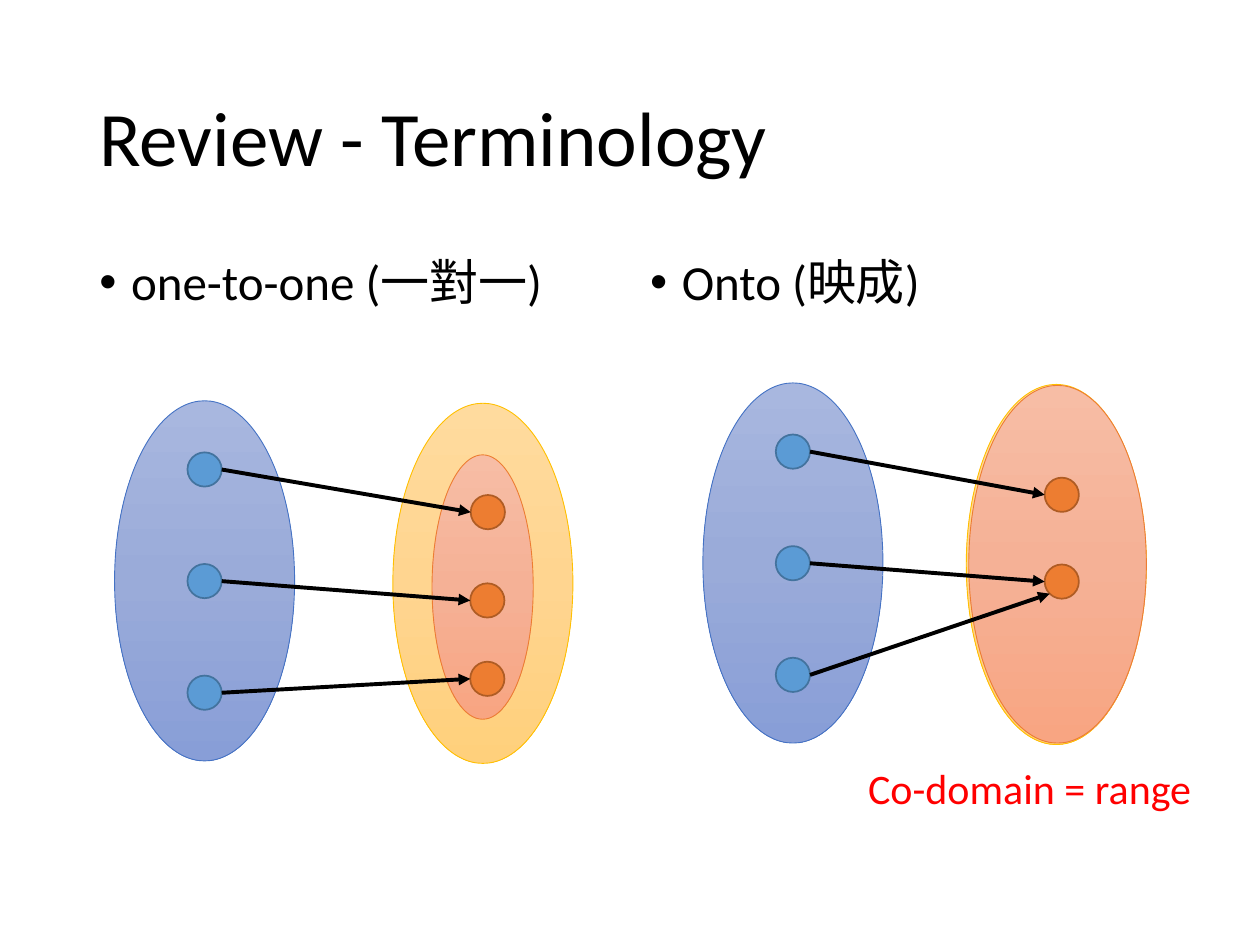
from copy import deepcopy
from math import sqrt

from lxml import etree
from pptx import Presentation
from pptx.dml.color import RGBColor
from pptx.enum.shapes import MSO_CONNECTOR, MSO_SHAPE
from pptx.enum.text import MSO_ANCHOR, MSO_AUTO_SIZE, PP_ALIGN
from pptx.oxml.ns import qn
from pptx.util import Cm, Pt

ELLIPSE = MSO_SHAPE.OVAL
STRAIGHT = MSO_CONNECTOR.STRAIGHT
LEFT = PP_ALIGN.LEFT
MIDDLE, TOP = MSO_ANCHOR.MIDDLE, MSO_ANCHOR.TOP
NO_AUTOFIT = MSO_AUTO_SIZE.NONE

# Theme: fills with three colours are vertical gradients
THEME = {
    "font": "Calibri", "cjk_font": "Noto Sans CJK SC",
    "title_size": 44, "body_size": 28, "caption_size": 24,
    "text": "000000", "accent": "FF0000", "arrow": "000000",
    "domain": (("A8B7DF", "9AABD9", "889ED7"), "4472C4", 0.5),
    "codomain": (("FFDB9E", "FFD590", "FFD07C"), "FFC000", 0.5),
    "range": (("F7BDA5", "F5B196", "F8A582"), "ED7D31", 0.5),
    "element": (("5B9BD5",), "43739E", 1),
    "image": (("ED7D31",), "AF5C24", 1),
}

# Content; lengths are in centimetres
TITLE = "Review - Terminology"
CAPTION = "Co-domain = range"
SET_SIZE = (3.63, 7.26)
DOT = 0.69
DOT_LEFT, DOT_TOP, DOT_STEP = 1.47, 1.04, 2.25
# Each mapping gives (image index, side of the image that the arrow meets)
FIGURES = [
    {
        "term": ("one-to-one (", "一對一", ")"), "text_left": 1.75,
        "domain": (2.31, 8.08), "codomain": (7.92, 8.13),
        "range": (8.71, 9.17, 2.04, 5.33),
        "images": [(9.49, 9.98), (9.48, 11.76), (9.48, 13.34)],
        "mapping": [(0, "left"), (1, "left"), (2, "left")],
    },
    {
        "term": ("Onto (", "映成", ")"), "text_left": 12.85,
        "domain": (14.17, 7.72), "codomain": (19.48, 7.75),
        "range": (19.53, 7.77, 3.58, 7.21),
        "images": [(21.06, 9.63), (21.06, 11.38)],
        "mapping": [(0, "left"), (1, "left"), (1, "lower left")],
    },
]
DIAGONAL = (1 - sqrt(0.5)) / 2
ARROW_ENDS = {"left": (0, 0.5), "lower left": (DIAGONAL, 1 - DIAGONAL)}


def color(value):
    return RGBColor.from_string(value)


def place(shape, left, top, width, height):
    shape.left, shape.top = Cm(left), Cm(top)
    shape.width, shape.height = Cm(width), Cm(height)


def format_paragraph(paragraph, size, text_color):
    paragraph.alignment = LEFT
    paragraph.space_before = Pt(0)
    paragraph.font.size = Pt(size)
    paragraph.font.color.rgb = color(text_color)


def set_frame(shape, anchor):
    frame = shape.text_frame
    frame.word_wrap = True
    frame.auto_size = NO_AUTOFIT
    frame.vertical_anchor = anchor
    return frame.paragraphs[0]


def add_ellipse(shapes, style, left, top, width, height):
    colors, line_color, line_width = THEME[style]
    shape = shapes.add_shape(ELLIPSE, Cm(left), Cm(top), Cm(width), Cm(height))
    shape.shadow.inherit = False
    if len(colors) == 1:
        shape.fill.solid()
        shape.fill.fore_color.rgb = color(colors[0])
    else:
        shape.fill.gradient()
        shape.fill.gradient_angle = 270
        stop_list = shape.element.spPr.find(".//" + qn("a:gsLst"))
        stop_list.insert(1, deepcopy(stop_list[0]))
        for index, stop in enumerate(shape.fill.gradient_stops):
            stop.position = index / (len(colors) - 1)
            stop.color.rgb = color(colors[index])
    shape.line.color.rgb = color(line_color)
    shape.line.width = Pt(line_width)


def add_arrow(shapes, start, end):
    arrow = shapes.add_connector(STRAIGHT, *(Cm(value) for value in start + end))
    arrow.line.color.rgb = color(THEME["arrow"])
    arrow.line.width = Pt(2.25)
    line = arrow.line._get_or_add_ln()
    etree.SubElement(line, qn("a:tailEnd"), type="triangle")
    etree.SubElement(arrow.element.spPr, qn("a:effectLst"))


def write_term(placeholder, figure):
    place(placeholder, figure["text_left"], 5.08, 10.8, 12.09)
    paragraph = set_frame(placeholder, TOP)
    properties = paragraph._p.get_or_add_pPr()
    properties.set("marL", str(Cm(0.64)))
    properties.set("indent", str(-Cm(0.64)))
    etree.SubElement(properties, qn("a:buFont"), typeface="Arial")
    etree.SubElement(properties, qn("a:buChar"), char="•")
    format_paragraph(paragraph, THEME["body_size"], THEME["text"])
    paragraph.line_spacing = 0.9
    fonts = (THEME["font"], THEME["cjk_font"], THEME["font"])
    for text, font in zip(figure["term"], fonts):
        run = paragraph.add_run()
        run.text = text
        run.font.name = font
        etree.SubElement(run._r.get_or_add_rPr(), qn("a:ea"),
                         typeface=THEME["cjk_font"])


def draw_figure(shapes, figure):
    # Sets and the elements of the domain
    add_ellipse(shapes, "codomain", *figure["codomain"], *SET_SIZE)
    add_ellipse(shapes, "range", *figure["range"])
    domain = shapes.add_group_shape().shapes
    left, top = figure["domain"]
    add_ellipse(domain, "domain", left, top, *SET_SIZE)
    elements = [(left + DOT_LEFT, top + DOT_TOP + index * DOT_STEP)
                for index in range(len(figure["mapping"]))]
    for position in elements:
        add_ellipse(domain, "element", *position, DOT, DOT)

    # Images and the arrows that lead to them
    for position in figure["images"]:
        add_ellipse(shapes, "image", *position, DOT, DOT)
    for (x, y), (image, side) in zip(elements, figure["mapping"]):
        image_x, image_y = figure["images"][image]
        across, down = ARROW_ENDS[side]
        add_arrow(shapes, (x + DOT, y + DOT / 2),
                  (image_x + across * DOT, image_y + down * DOT))


def main():
    presentation = Presentation()
    presentation.slide_width, presentation.slide_height = Cm(25.4), Cm(19.05)
    slide = presentation.slides.add_slide(presentation.slide_layouts[3])

    # Title
    title = slide.shapes.title
    place(title, 1.75, 1.02, 21.9, 3.68)
    paragraph = set_frame(title, MIDDLE)
    paragraph.text = TITLE
    format_paragraph(paragraph, THEME["title_size"], THEME["text"])
    paragraph.line_spacing = 0.9
    paragraph.font.name = THEME["font"]

    # Terms and their figures
    for index, figure in enumerate(FIGURES, start=1):
        write_term(slide.placeholders[index], figure)
        draw_figure(slide.shapes, figure)

    # Caption
    caption = slide.shapes.add_textbox(Cm(17.5), Cm(15.37), Cm(6.58), Cm(1.02))
    frame = caption.text_frame
    frame.margin_left = frame.margin_right = Cm(0)
    frame.margin_top = frame.margin_bottom = Cm(0)
    frame.word_wrap = False
    paragraph = frame.paragraphs[0]
    paragraph.text = CAPTION
    format_paragraph(paragraph, THEME["caption_size"], THEME["accent"])
    paragraph.font.name = THEME["font"]

    presentation.save("out.pptx")


if __name__ == "__main__":
    main()
